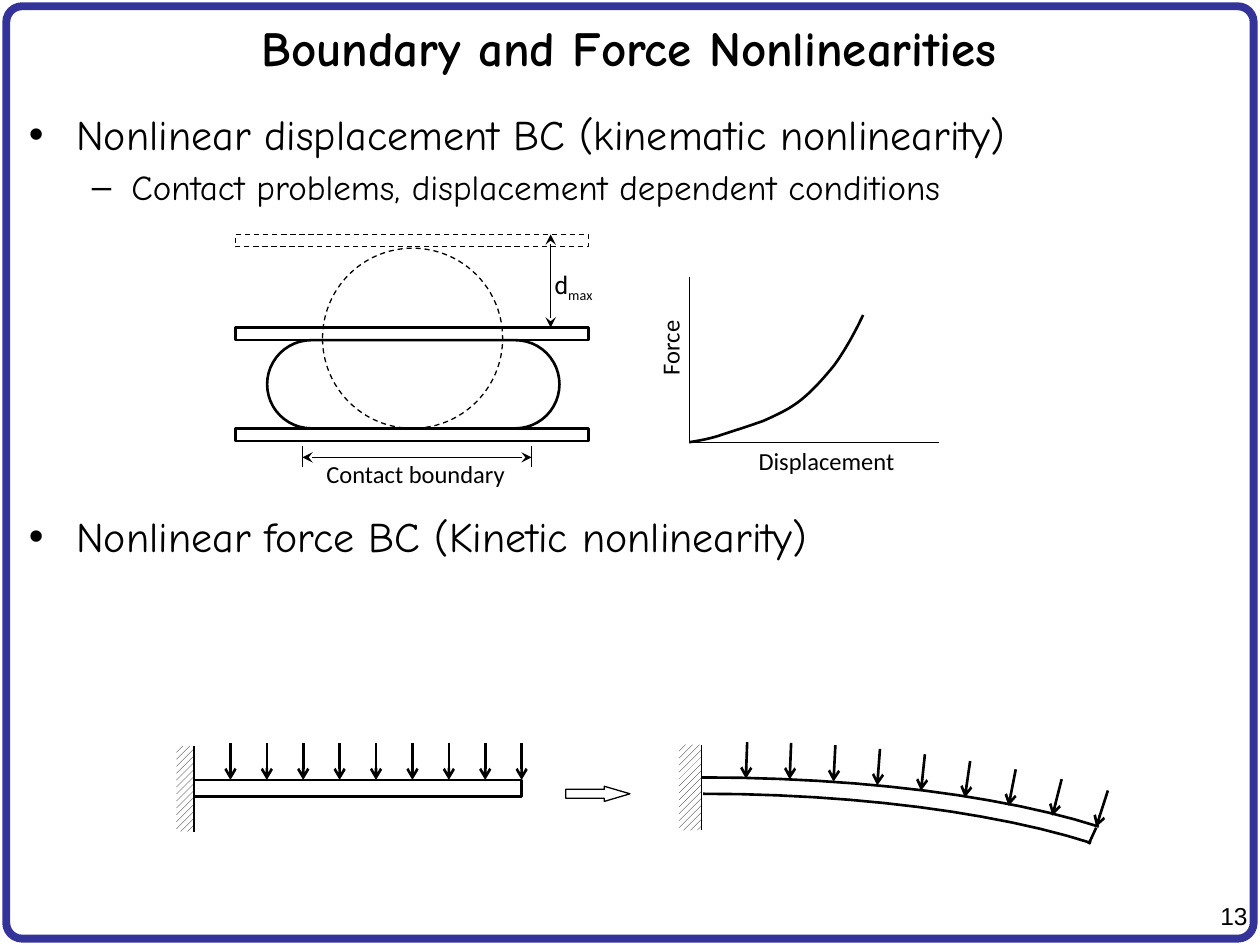
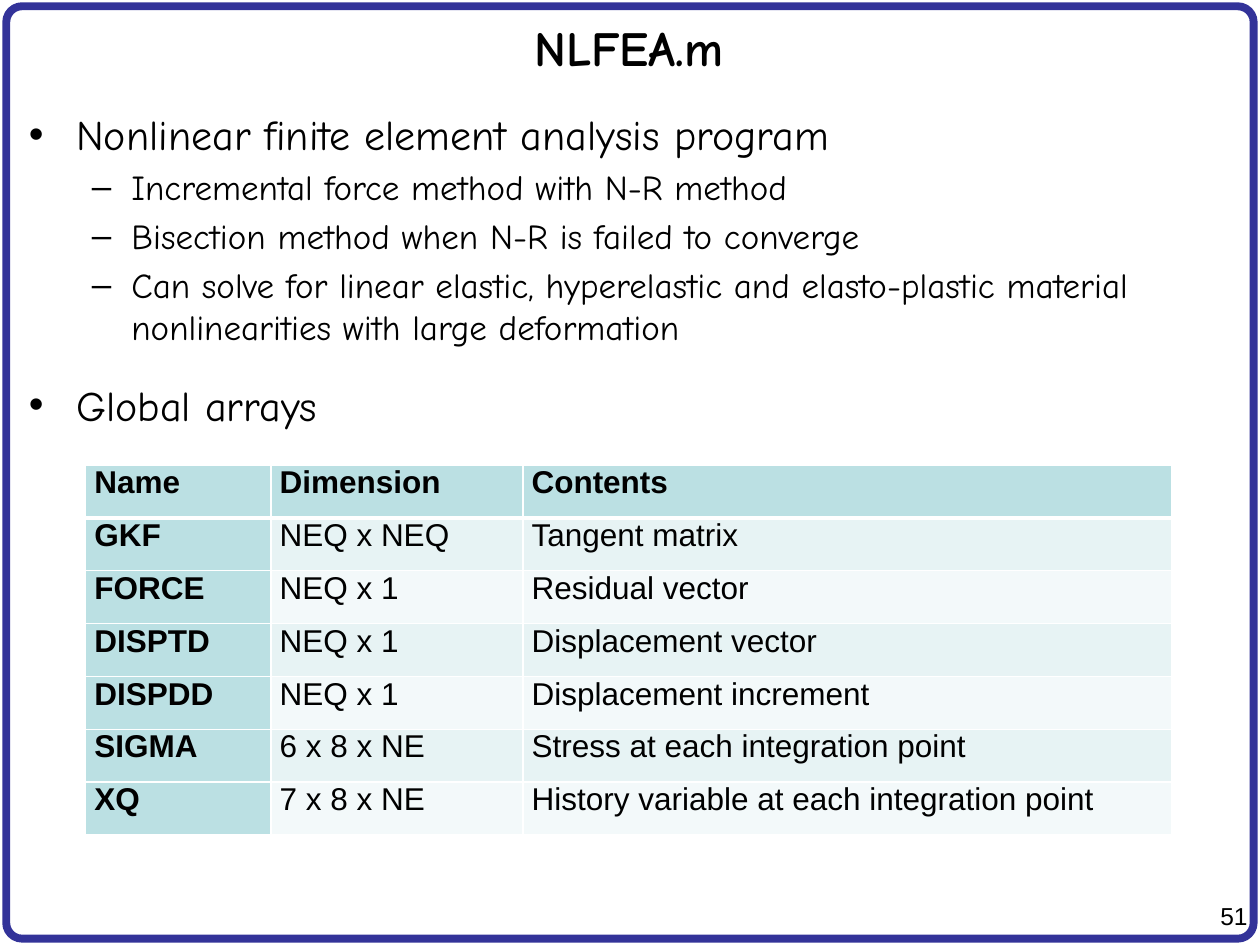
import lxml.etree
import pptx
import pptx.dml.color
import pptx.enum.dml
import pptx.enum.shapes
import pptx.enum.text
import pptx.oxml.ns
import pptx.util

Inches = pptx.util.Inches
Pt = pptx.util.Pt
qn = pptx.oxml.ns.qn
SHAPE = pptx.enum.shapes.MSO_SHAPE
ALIGN = pptx.enum.text.PP_ALIGN

COLORS = {
    "frame": "333399",
    "ink": "000000",
    "paper": "FFFFFF",
    "header": "BBE0E3",
    "band_dark": "E7F3F4",
    "band_light": "F3F9FA",
}
HEADING_FONT = "Comic Neue"
TABLE_FONT = "Arial"
LABEL_FONT = "Calibri"
THIN, THICK = 0.75, 1.5
BULLET_SIZES = (24, 20)


def rgb(name):
    return pptx.dml.color.RGBColor.from_string(COLORS[name])


def add_text(para, text, size=14, font=LABEL_FONT, bold=False, align=None, baseline=None):
    """Append a formatted run to a paragraph; baseline is in percent."""
    span = para.add_run()
    span.text = text
    span.font.size = Pt(size)
    span.font.name = font
    span.font.bold = bold
    span.font.color.rgb = rgb("ink")
    if align is not None:
        para.alignment = align
    if baseline is not None:
        span.font._element.set("baseline", str(baseline * 1000))


def style_outline(shape, width, color="ink", dashed=False):
    shape.line.color.rgb = rgb(color)
    shape.line.width = Pt(width)
    if dashed:
        shape.line.dash_style = pptx.enum.dml.MSO_LINE.DASH


def place(shape, left, top, width, height):
    shape.left, shape.top = Inches(left), Inches(top)
    shape.width, shape.height = Inches(width), Inches(height)


def bezier(start, control_a, control_b, end, steps=12):
    """Points along a cubic curve, without its start."""
    points = []
    for step in range(1, steps + 1):
        t = step / steps
        weights = ((1 - t) ** 3, 3 * t * (1 - t) ** 2, 3 * t ** 2 * (1 - t), t ** 3)
        corners = (start, control_a, control_b, end)
        points.append(tuple(sum(w * c[axis] for w, c in zip(weights, corners))
                            for axis in (0, 1)))
    return points


class Sketch:
    """A group of line-art parts, measured in inches from one corner."""

    def __init__(self, page, left, top):
        self.left, self.top = left, top
        self.shapes = page.shapes.add_group_shape().shapes

    def spot(self, x, y):
        return Inches(self.left + x), Inches(self.top + y)

    def outline(self, kind, x, y, width, height, weight=THICK, dashed=False):
        shape = self.shapes.add_shape(kind, *self.spot(x, y), Inches(width), Inches(height))
        shape.shadow.inherit = False
        shape.fill.background()
        style_outline(shape, weight, dashed=dashed)
        return shape

    def line(self, start, end, weight=THIN, head=None, tail=None):
        connector = self.shapes.add_connector(
            pptx.enum.shapes.MSO_CONNECTOR.STRAIGHT, *self.spot(*start), *self.spot(*end))
        style_outline(connector, weight)
        properties = connector.element.spPr
        for tag, arrow in (("a:headEnd", head), ("a:tailEnd", tail)):
            if arrow:
                lxml.etree.SubElement(properties.find(qn("a:ln")), qn(tag), type=arrow)
        lxml.etree.SubElement(properties, qn("a:effectLst"))

    def path_line(self, points, weight=THICK):
        builder = self.shapes.build_freeform(*self.spot(*points[0]))
        builder.add_line_segments([self.spot(*point) for point in points[1:]], close=False)
        shape = builder.convert_to_shape()
        shape.shadow.inherit = False
        shape.fill.background()
        style_outline(shape, weight)

    def curve(self, start, *segments):
        points = [start]
        for segment in segments:
            points += bezier(points[-1], *segment)
        self.path_line(points)

    def label(self, text, x, y, width, height, font=LABEL_FONT, subscript=None, upward=False):
        box = self.shapes.add_textbox(*self.spot(x, y), Inches(width), Inches(height))
        frame = box.text_frame
        frame.word_wrap = True
        frame.margin_left = frame.margin_right = frame.margin_top = frame.margin_bottom = 0
        add_text(frame.paragraphs[0], text, font=font)
        if subscript:
            add_text(frame.paragraphs[0], subscript, baseline=-25)
        if upward:
            frame._txBody.find(qn("a:bodyPr")).set("vert", "vert270")

    def wall(self, x, y, width, height):
        """A hatched support with a line along its right side."""
        hatch = self.outline(SHAPE.RECTANGLE, x, y, width, height)
        hatch.fill.patterned()
        hatch.fill.pattern = pptx.enum.dml.MSO_PATTERN.WIDE_UPWARD_DIAGONAL
        hatch.fill.fore_color.rgb = rgb("ink")
        hatch.fill.back_color.rgb = rgb("paper")
        hatch.line.fill.background()
        self.line((x + width, y + height), (x + width, y))


def add_layout_frame(layout, page):
    """Build the rounded border and move it to the shared layout."""
    border = page.shapes.add_shape(SHAPE.ROUNDED_RECTANGLE, Inches(0.05), Inches(0.05),
                                   Inches(9.9), Inches(7.4))
    border.adjustments[0] = 0.017
    border.shadow.inherit = False
    border.fill.background()
    style_outline(border, 4.5, color="frame")
    layout.shapes.element.append(border.element)


def add_page(deck, title, bullets, number):
    """Bullets are (level, text, points of space before, or None)."""
    page = deck.slides.add_slide(deck.slide_layouts[1])
    heading, body = page.shapes.title, page.placeholders[1]
    place(heading, 0.04, 0.05, 9.9, 0.65)
    place(body, 0.13, 0.81, 9.74, 6.42)
    for holder in (heading, body):
        holder.text_frame.auto_size = pptx.enum.text.MSO_AUTO_SIZE.NONE
    add_text(heading.text_frame.paragraphs[0], title, size=28, font=HEADING_FONT,
             bold=True, align=ALIGN.CENTER)
    for index, (level, text, space) in enumerate(bullets):
        frame = body.text_frame
        para = frame.add_paragraph() if index else frame.paragraphs[0]
        para.level = level
        if space is not None:
            para.space_before = Pt(space)
        add_text(para, text, size=BULLET_SIZES[level], font=HEADING_FONT)
    box = page.shapes.add_textbox(Inches(9.46), Inches(7.1), Inches(0.54), Inches(0.33))
    box.text_frame.word_wrap = True
    add_text(box.text_frame.paragraphs[0], str(number), font=TABLE_FONT, align=ALIGN.RIGHT)
    return page


def draw_contact(page, left, top):
    """A ball squeezed between two plates."""
    sketch = Sketch(page, left, top)
    plate_width, plate_height = 2.8, 0.1
    sketch.outline(SHAPE.OVAL, 0.69, 0.11, 1.43, 1.43, THIN, dashed=True)
    squeezed = sketch.outline(SHAPE.ROUNDED_RECTANGLE, 0.25, 0.84, 2.32, 0.7)
    squeezed.adjustments[0] = 0.5
    for y, weight, dashed in ((0, THIN, True), (0.74, THICK, False), (1.54, THICK, False)):
        sketch.outline(SHAPE.RECTANGLE, 0, y, plate_width, plate_height, weight, dashed)
    contact_start, contact_end = 0.53, 2.35
    for x in (contact_start, contact_end):
        sketch.line((x, 1.68), (x, 1.85))
    sketch.line((contact_end, 1.77), (contact_start, 1.77), head="stealth", tail="stealth")
    sketch.line((2.5, 0), (2.5, 0.74), head="stealth", tail="stealth")
    sketch.label("Contact boundary", 0.72, 1.78, 1.43, 0.23)
    sketch.label("d", 2.53, 0.28, 0.38, 0.28, font="Roboto", subscript="max")


def draw_force_plot(page, left, top):
    """Force against displacement; the corner is the top of the force axis."""
    sketch = Sketch(page, left, top)
    sketch.path_line([(0, 0), (0, 1.31), (1.98, 1.31)], THIN)
    sketch.curve((0, 1.31),
                 ((0.06, 1.3), (0.13, 1.29), (0.23, 1.26)),
                 ((0.32, 1.23), (0.48, 1.18), (0.59, 1.14)),
                 ((0.7, 1.09), (0.79, 1.05), (0.88, 0.98)),
                 ((0.98, 0.9), (1.06, 0.81), (1.15, 0.7)),
                 ((1.23, 0.59), (1.31, 0.45), (1.38, 0.3)))
    sketch.label("Displacement", 0.55, 1.34, 1.08, 0.25)
    sketch.label("Force", -0.27, 0.25, 0.26, 0.53, upward=True)


def draw_straight_beam(page, left, top):
    sketch = Sketch(page, left, top)
    sketch.wall(0, 0.02, 0.14, 0.68)
    sketch.outline(SHAPE.RECTANGLE, 0.14, 0.29, 2.6, 0.13)
    load_gap = 2.6 / 9
    for load in range(1, 10):
        x = 0.14 + load * load_gap
        sketch.line((x, 0), (x, 0.29), THICK, tail="arrow")


def draw_bent_beam(page, left, top):
    """A beam whose loads turn with its surface."""
    sketch = Sketch(page, left, top)
    sketch.wall(0, 0.02, 0.18, 0.68)
    sketch.curve((0.18, 0.28), ((1.45, 0.28), (2.58, 0.43), (3.33, 0.67)))
    sketch.curve((0.19, 0.41), ((1.39, 0.41), (2.52, 0.56), (3.27, 0.8)))
    sketch.line((3.25, 0.81), (3.31, 0.68), THICK)
    for load in range(9):
        x, y = 0.53 + 0.3475 * load, 0.29 + 0.006 * load ** 2
        lean = 0.01 + 0.0013 * load ** 2
        sketch.line((x + lean, y - 0.29), (x, y), THICK, tail="arrow")


def draw_step_arrow(page, left, top):
    arrow = Sketch(page, left, top).outline(SHAPE.RIGHT_ARROW, 0, 0, 0.51, 0.12, THIN)
    arrow.adjustments[0], arrow.adjustments[1] = 0.591, 1.698


def set_cell_borders(cell, widths):
    """Widths in points for the left, right, top and bottom sides."""
    properties = cell._tc.get_or_add_tcPr()
    for index, (side, width) in enumerate(zip("LRTB", widths)):
        border = lxml.etree.Element(qn("a:ln" + side), w=str(Pt(width)))
        fill = lxml.etree.SubElement(border, qn("a:solidFill"))
        lxml.etree.SubElement(fill, qn("a:srgbClr"), val=COLORS["paper"])
        properties.insert(index, border)


def add_array_table(page, left, top, rows, column_widths, row_height):
    holder = page.shapes.add_table(len(rows), len(column_widths), Inches(left), Inches(top),
                                   Inches(sum(column_widths)), Inches(row_height * len(rows)))
    table = holder.table
    table.first_row = table.horz_banding = False
    for column, width in zip(table.columns, column_widths):
        column.width = Inches(width)
    for r, row in enumerate(rows):
        table.rows[r].height = Inches(row_height)
        for c, text in enumerate(row):
            cell = table.cell(r, c)
            is_header = r == 0 or c == 0
            band = "header" if is_header else "band_dark" if r % 2 else "band_light"
            cell.fill.solid()
            cell.fill.fore_color.rgb = rgb(band)
            cell.margin_left = cell.margin_right = Inches(0.07)
            cell.margin_top = cell.margin_bottom = 0
            add_text(cell.text_frame.paragraphs[0], text, size=18, font=TABLE_FONT,
                     bold=is_header, align=ALIGN.JUSTIFY)
            set_cell_borders(cell, (1, 1, 3 if r == 1 else 1, 3 if r == 0 else 1))


def build_nonlinearity_page(deck):
    page = add_page(deck, "Boundary and Force Nonlinearities", [
        (0, "Nonlinear displacement BC (kinematic nonlinearity)", None),
        (1, "Contact problems, displacement dependent conditions", None),
        (0, "Nonlinear force BC (Kinetic nonlinearity)", 173),
    ], 13)
    draw_contact(page, 1.87, 1.86)
    draw_force_plot(page, 5.47, 2.2)
    draw_straight_beam(page, 1.4, 5.9)
    draw_step_arrow(page, 4.49, 6.24)
    draw_bent_beam(page, 5.39, 5.89)
    return page


def build_program_page(deck):
    page = add_page(deck, "NLFEA.m", [
        (0, "Nonlinear finite element analysis program", None),
        (1, "Incremental force method with N-R method", None),
        (1, "Bisection method when N-R is failed to converge", None),
        (1, "Can solve for linear elastic, hyperelastic and elasto-plastic material "
            "nonlinearities with large deformation", None),
        (0, "Global arrays", 18),
    ], 51)
    add_array_table(page, 0.68, 3.69, [
        ("Name", "Dimension", "Contents"),
        ("GKF", "NEQ x NEQ", "Tangent matrix"),
        ("FORCE", "NEQ x 1", "Residual vector"),
        ("DISPTD", "NEQ x 1", "Displacement vector"),
        ("DISPDD", "NEQ x 1", "Displacement increment"),
        ("SIGMA", "6 x 8 x NE", "Stress at each integration point"),
        ("XQ", "7 x 8 x NE", "History variable at each integration point"),
    ], (1.47, 2, 5.15), 0.42)


def main():
    deck = pptx.Presentation()
    deck.slide_width, deck.slide_height = Inches(10), Inches(7.5)
    first_page = build_nonlinearity_page(deck)
    add_layout_frame(first_page.slide_layout, first_page)
    build_program_page(deck)
    deck.save("out.pptx")


if __name__ == "__main__":
    main()
